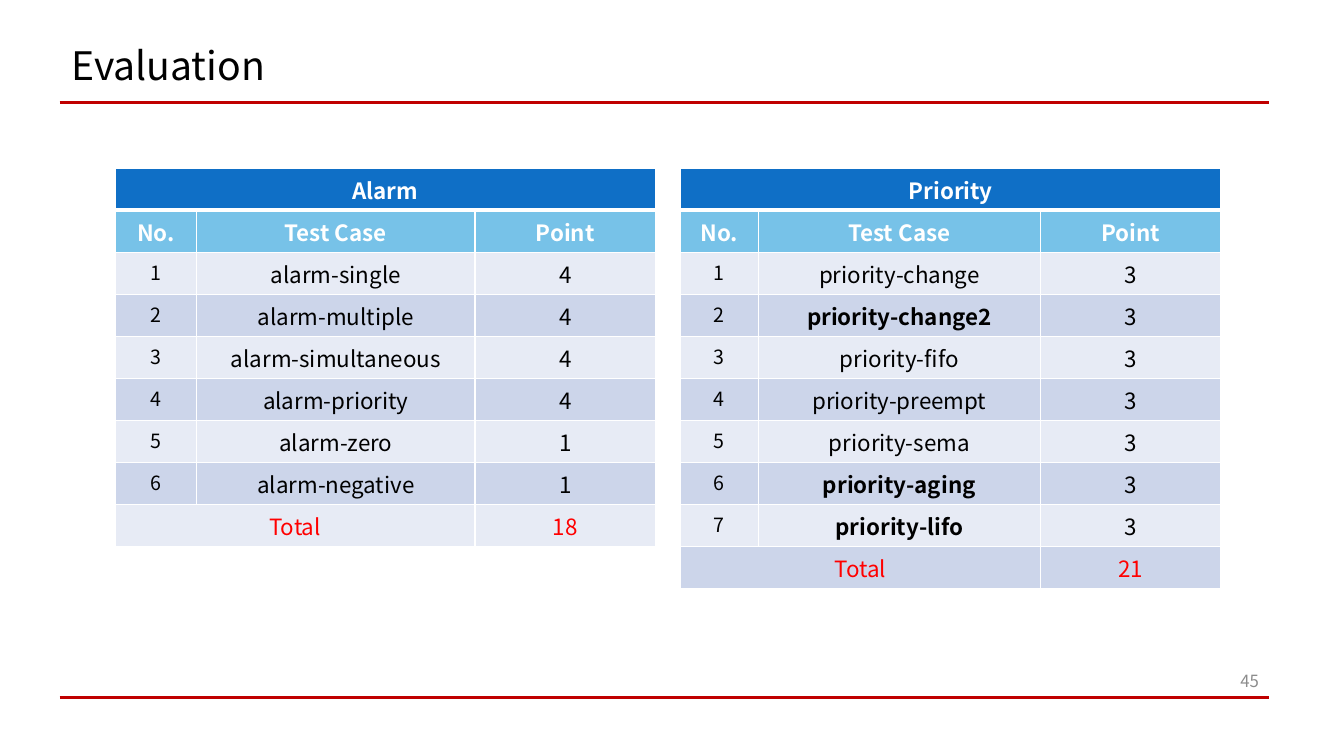
from lxml.etree import SubElement
from pptx import Presentation
from pptx.dml.color import RGBColor
from pptx.enum.shapes import MSO_CONNECTOR as Connector
from pptx.enum.text import MSO_ANCHOR as Anchor, PP_ALIGN as Align
from pptx.oxml.ns import qn
from pptx.util import Cm, Pt

FONT = "Noto Sans CJK KR"
ROW_HEIGHT = 1.06
TABLE_TOP = 4.24


def color(hex_string):
    return RGBColor.from_string(hex_string)


def write(frame, text, size, hex_string, align, bold=False):
    """Add one run to the first paragraph of the frame and return the paragraph."""
    para = frame.paragraphs[0]
    para.alignment = align
    span = para.add_run()
    span.text = text
    span.font.name = FONT
    span.font.size = Pt(size)
    span.font.bold = bold
    span.font.color.rgb = color(hex_string)
    return para


deck = Presentation()
deck.slide_width, deck.slide_height = Cm(33.87), Cm(19.05)
page = deck.slides.add_slide(deck.slide_layouts[6])

# Rules above and below the content
for y in (2.59, 17.58):
    rule = page.shapes.add_connector(Connector.STRAIGHT, Cm(1.5), Cm(y), Cm(31.98), Cm(y))
    rule.line.color.rgb = color("C00000")
    rule.line.width = Pt(2.25)
    SubElement(rule._element.spPr, qn("a:effectLst"))

# Title and page number
for text, left, top, width, height, size, ink, align in (
    ("Evaluation", 1.55, 1.04, 29.21, 1.35, 28, "000000", Align.LEFT),
    ("45", 30.73, 16.64, 1.25, 1.02, 12, "8C8C8C", Align.RIGHT),
):
    box = page.shapes.add_textbox(Cm(left), Cm(top), Cm(width), Cm(height))
    box.text_frame.word_wrap = True
    box.text_frame.vertical_anchor = Anchor.MIDDLE
    para = write(box.text_frame, text, size, ink, align)
    if text == "Evaluation":
        para.line_spacing = 0.9

# Score tables: heading, left edge, column widths, (test case, point) pairs
score_tables = (
    ("Alarm", 2.9, (2.06, 7.01, 4.55), (
        ("alarm-single", 4), ("alarm-multiple", 4), ("alarm-simultaneous", 4),
        ("alarm-priority", 4), ("alarm-zero", 1), ("alarm-negative", 1))),
    ("Priority", 17.15, (1.96, 7.11, 4.55), (
        ("priority-change", 3), ("priority-change2", 3), ("priority-fifo", 3),
        ("priority-preempt", 3), ("priority-sema", 3), ("priority-aging", 3),
        ("priority-lifo", 3))),
)
bold_cases = {"priority-change2", "priority-aging", "priority-lifo"}

for heading, left, widths, cases in score_tables:
    rows = [(heading, "", ""), ("No.", "Test Case", "Point")]
    rows += [(str(number), case, str(point)) for number, (case, point) in enumerate(cases, 1)]
    rows.append(("Total", "", str(sum(point for case, point in cases))))
    last = len(rows) - 1

    table = page.shapes.add_table(
        len(rows), 3, Cm(left), Cm(TABLE_TOP), Cm(sum(widths)), Cm(ROW_HEIGHT * len(rows))
    ).table
    for column, width in zip(table.columns, widths):
        column.width = Cm(width)
    table.cell(0, 0).merge(table.cell(0, 2))
    table.cell(last, 0).merge(table.cell(last, 1))

    for r, values in enumerate(rows):
        table.rows[r].height = Cm(ROW_HEIGHT)
        if r < 2:
            fill, ink = ("0F6FC6", "77C2E8")[r], "FFFFFF"
        else:
            fill = ("E7EBF5", "CCD5EA")[r % 2]
            ink = "FF0000" if r == last else "000000"
        for c, text in enumerate(values):
            cell = table.cell(r, c)
            for side in "LRTB":
                thick = (r, side) in ((0, "B"), (1, "T"))
                border = SubElement(cell._tc.get_or_add_tcPr(), qn(f"a:ln{side}"),
                                    w=str(Pt(3 if thick else 1)))
                SubElement(SubElement(border, qn("a:solidFill")), qn("a:srgbClr"), val="FFFFFF")
            cell.fill.solid()
            cell.fill.fore_color.rgb = color(fill)
            if text:
                size = 14 if c == 0 and 1 < r < last else 16
                write(cell.text_frame, text, size, ink, Align.CENTER,
                      bold=r < 2 or text in bold_cases)

deck.save("out.pptx")
